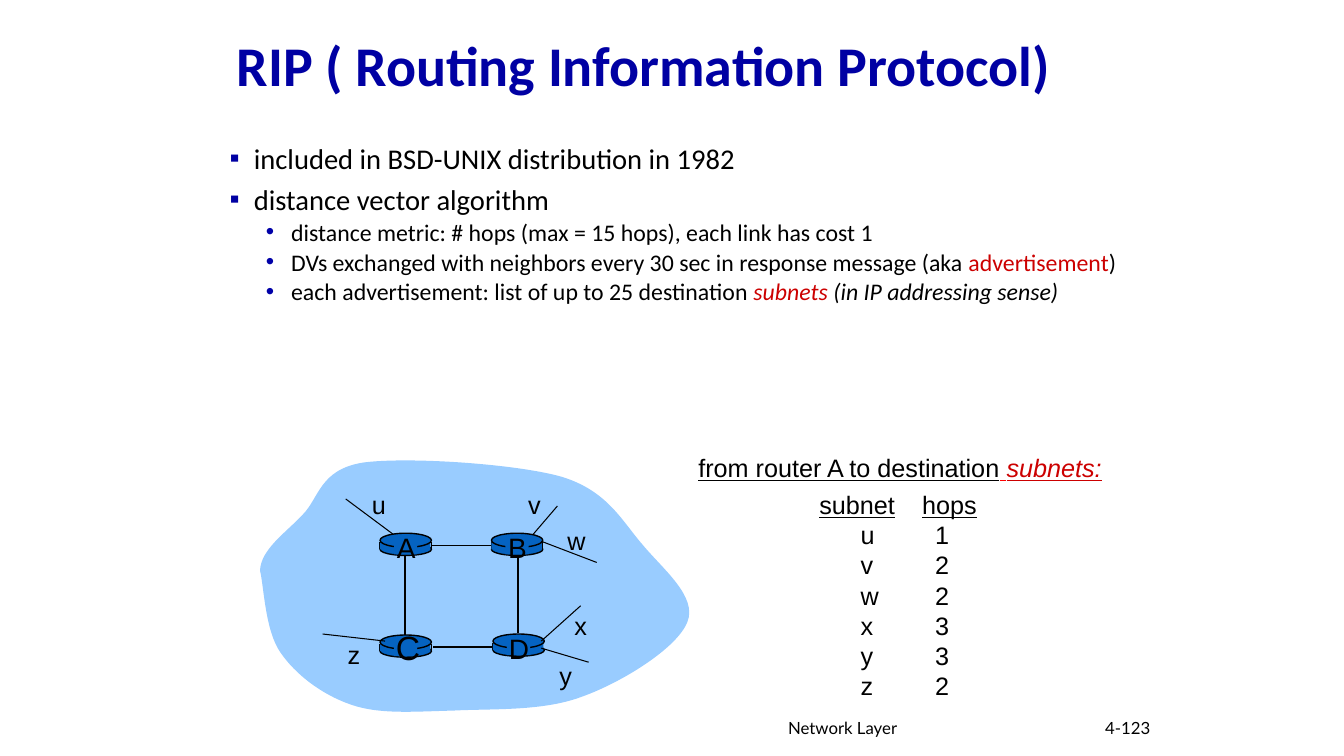
"""Builds the RIP slide on a grid of tenths of an inch."""
from dataclasses import dataclass, field
from typing import NamedTuple

from lxml import etree
from pptx import Presentation, util as u
from pptx.dml import color
from pptx.enum import shapes, text
from pptx.oxml import ns

COLOURS = {"navy": "0000A3", "bullet": "0000A8", "ink": "000000", "accent": "CC0000",
           "red": "FF0000", "cloud": "99CCFF", "router": "0563C1"}
CELL = u.Inches(0.1)
COLUMNS, ROWS = 133.33, 75


class Box(NamedTuple):
    left: float
    top: float
    width: float
    height: float


class Run(NamedTuple):
    words: str
    colour: str = "ink"
    style: dict = {}


class Link(NamedTuple):
    x1: float
    y1: float
    x2: float
    y2: float


class Subnet(NamedTuple):
    name: str
    hops: int
    left: float
    top: float
    wire: Link


class Router(NamedTuple):
    name: str
    left: float
    top: float
    size: float = 20
    label_rise: float = 0.8
    sides: tuple = (0, 5.1)


@dataclass
class Para:
    runs: list
    layout: dict = field(default_factory=dict)
    bullet: tuple = ()
    indent: tuple = ()
    tabs: tuple = ()


def grid(cells: float) -> int:
    """Turn grid cells into a length."""
    return round(cells * CELL)


def rgb(name: str) -> color.RGBColor:
    """Look up a named colour."""
    return color.RGBColor.from_string(COLOURS[name])


def apply(target, values: dict) -> None:
    """Set each named attribute."""
    for name, value in values.items():
        setattr(target, name, value)


def add_mark(parent, tag: str, **attributes):
    """Append a drawing element."""
    return etree.SubElement(parent, ns.qn(tag), **attributes)


def write(slide, box: Box, paras: list, base: dict, frame: dict) -> None:
    """Place a text box with formatted paragraphs."""
    body = slide.shapes.add_textbox(*map(grid, box)).text_frame
    apply(body, {"word_wrap": True} | frame)
    for index, para in enumerate(paras):
        line = body.add_paragraph() if index else body.paragraphs[0]
        props = line._p.get_or_add_pPr()
        if para.indent:
            margin, hanging = para.indent
            props.set("marL", str(grid(margin)))
            props.set("indent", str(grid(hanging)))
        if para.bullet:
            sign, colour = para.bullet
            add_mark(add_mark(props, "a:buClr"), "a:srgbClr", val=COLOURS[colour])
            add_mark(props, "a:buFont", typeface="Arial")
            add_mark(props, "a:buChar", char=sign)
        if para.tabs:
            stops = add_mark(props, "a:tabLst")
            for stop in para.tabs:
                add_mark(stops, "a:tab", pos=str(grid(stop)), algn="l")
        apply(line, para.layout)
        for part in para.runs:
            run = line.add_run()
            run.text = part.words
            apply(run.font, base | part.style)
            run.font.color.rgb = rgb(part.colour)


def paint(shape, fill: str, outlined: bool = False) -> None:
    """Fill a shape, with or without a black outline."""
    shape.shadow.inherit = False
    shape.fill.solid()
    shape.fill.fore_color.rgb = rgb(fill)
    if outlined:
        shape.line.color.rgb = rgb("ink")
        shape.line.width = u.Pt(1)
    else:
        shape.line.fill.background()


def connect(slide, link: Link, points: float = 1) -> None:
    """Draw a plain black line."""
    wire = slide.shapes.add_connector(shapes.MSO_CONNECTOR.STRAIGHT, *map(grid, link))
    wire.line.color.rgb = rgb("ink")
    wire.line.width = u.Pt(points)
    add_mark(wire._element.spPr, "a:effectLst")


def draw_cloud(slide, start: tuple, curves: list) -> None:
    """Draw the network cloud, joining each three points into a Bezier curve."""
    builder = slide.shapes.build_freeform(*map(grid, start))
    builder.add_line_segments([(grid(curve[i]), grid(curve[i + 1]))
                               for curve in curves for i in (0, 2, 4)], close=True)
    cloud = builder.convert_to_shape()
    segments = list(cloud._element.iter(ns.qn("a:lnTo")))
    for first in range(0, len(segments), 3):
        bend = etree.Element(ns.qn("a:cubicBezTo"))
        segments[first].addprevious(bend)
        for segment in segments[first:first + 3]:
            bend.append(segment[0])
            segment.getparent().remove(segment)
    paint(cloud, "cloud")


def draw_router(slide, router: Router) -> None:
    """Draw a router drum and its letter."""
    x, y = router.left, router.top
    oval, block = shapes.MSO_SHAPE.OVAL, shapes.MSO_SHAPE.RECTANGLE

    def part(kind, box: Box, outlined: bool) -> None:
        """Add one piece of the drum."""
        paint(slide.shapes.add_shape(kind, *map(grid, box)), "router", outlined)

    part(oval, Box(x, y + 1, 5.1, 1.2), True)
    for side in router.sides:
        connect(slide, Link(x + side, y + 0.9, x + side, y + 1.6))
    part(block, Box(x, y + 0.9, 5, 0.7), False)
    part(oval, Box(x, y, 5.1, 1.4), True)
    part(block, Box(x + 1.4, y + 0.2, 2.3, 1.9), False)
    write(slide, Box(x + 0.6, y - router.label_rise, 4, 4.4),
          [Para([Run(router.name)], {"alignment": text.PP_ALIGN.CENTER})],
          ARIAL | {"size": u.Pt(router.size)}, LOOSE)


ARIAL = {"name": "Arial", "size": u.Pt(18)}
CALIBRI = {"name": "Calibri", "size": u.Pt(20.4)}
LATO = {"name": "Lato", "size": u.Pt(12)}
SMALL = {"size": u.Pt(17)}
UNDER = {"underline": True}
MIDDLE = {"vertical_anchor": text.MSO_ANCHOR.MIDDLE}
LOOSE = {"word_wrap": False}

CLOUD_START = (25.8, 56.6)
CLOUD = [(25.9, 54.5, 28.3, 52.9, 30, 51.1), (31.7, 49.4, 31.7, 46.6, 36, 45.9),
         (40.3, 45.3, 51.1, 46, 55.7, 47.3), (60.3, 48.7, 61.7, 51.7, 63.8, 54.1),
         (65.8, 56.5, 69.2, 59.2, 68.2, 61.7), (67.2, 64.3, 61.7, 67.7, 57.8, 69.1),
         (53.9, 70.6, 48.8, 70.3, 45, 70.5), (41.1, 70.6, 37.6, 70.9, 34.8, 69.9),
         (31.9, 68.9, 29.3, 66.9, 27.8, 64.7), (26.3, 62.5, 26.2, 58.3, 25.8, 56.6)]
ROUTERS = [Router("C", 37.7, 63, 24, 1.3), Router("A", 37.7, 52.9),
           Router("B", 48.75, 52.9), Router("D", 48.9, 62.9, label_rise=0.7, sides=(0,))]
LINKS = [Link(51.4, 55.2, 51.4, 62.8), Link(40.2, 55.2, 40.2, 63.1),
         Link(43, 64.2, 48.9, 64.2), Link(42.9, 54.1, 48.8, 54.1)]
SUBNETS = [Subnet("u", 1, 35.9, 48.1, Link(39, 53, 34.3, 49.5)),
           Subnet("v", 2, 51.4, 48.1, Link(52.9, 53, 55.3, 50.2)),
           Subnet("w", 2, 55.3, 51.6, Link(53.7, 53.7, 59.2, 55.8)),
           Subnet("x", 3, 56, 60.1, Link(53.7, 63.6, 57.6, 60.1)),
           Subnet("y", 3, 54.5, 65, Link(53.7, 64.3, 58.4, 65.7)),
           Subnet("z", 2, 33.5, 62.9, Link(38.2, 63.6, 32, 62.9))]


def point(*runs: Run, gap: float = 10) -> Para:
    """Make a main bullet."""
    layout = {"line_spacing": 0.8, "space_before": u.Pt(gap)}
    return Para(list(runs), layout, ("▪", "navy"), (3.9, -2.4))


def detail(*runs: Run) -> Para:
    """Make a second-level bullet."""
    sized = [Run(r.words, r.colour, SMALL | r.style) for r in runs]
    layout = {"level": 1, "line_spacing": 0.8, "space_before": u.Pt(5)}
    return Para(sized, layout, ("•", "bullet"), (7.6, -2.5))


def main() -> None:
    """Build and save the slide."""
    deck = Presentation()
    deck.slide_width, deck.slide_height = grid(COLUMNS), grid(ROWS)
    slide = deck.slides.add_slide(deck.slide_layouts[6])
    write(slide, Box(77.2, 70.7, 31.7, 3.1), [Para([Run("Network Layer")])], LATO, {})
    write(slide, Box(107.7, 70.7, 7.4, 3),
          [Para([Run("4-123")], {"alignment": text.PP_ALIGN.RIGHT})], LATO, MIDDLE)
    write(slide, Box(22.5, 1.6, 89.4, 10.3),
          [Para([Run("RIP ( Routing Information Protocol)", "navy")], {"line_spacing": 0.9})],
          CALIBRI | {"size": u.Pt(40), "bold": True}, MIDDLE)
    write(slide, Box(20.3, 14.1, 91.5, 18.5), [
        point(Run("included in BSD-UNIX distribution in 1982"), gap=0),
        point(Run("distance vector algorithm")),
        detail(Run("distance metric: # hops (max = 15 hops), each link has cost 1")),
        detail(Run("DVs exchanged with neighbors every 30 sec in response message (aka "),
               Run("advertisement", "accent"), Run(")")),
        detail(Run("each advertisement: list of up to 25 destination "),
               Run("subnets ", "accent", {"italic": True}),
               Run("(in IP addressing sense)", "ink", {"italic": True}))], CALIBRI, {})
    draw_cloud(slide, CLOUD_START, CLOUD)
    for link in LINKS:
        connect(slide, link)
    for router in ROUTERS:
        draw_router(slide, router)
    for subnet in SUBNETS:
        connect(slide, subnet.wire, 0.75)
        write(slide, Box(subnet.left, subnet.top, 3.5, 4), [Para([Run(subnet.name)])],
              ARIAL, LOOSE)
    pitch = {"line_spacing": u.Pt(21.5)}
    heading = Para([Run("subnet", "ink", UNDER), Run("\t"), Run("hops", "ink", UNDER)],
                   pitch, tabs=(10.2,))
    hops = [Para([Run(f"\t{s.name}\t{s.hops}")], pitch, tabs=(4.1, 11.5)) for s in SUBNETS]
    write(slide, Box(80.3, 48.1, 17.7, 25), [heading, *hops], ARIAL, {})
    write(slide, Box(68.3, 44.4, 42.3, 4), [Para([
        Run("from router A to destination"), Run(" ", "red"),
        Run("subnets:", "accent", {"italic": True})])], ARIAL | UNDER, LOOSE)
    deck.save("out.pptx")


if __name__ == "__main__":
    main()
